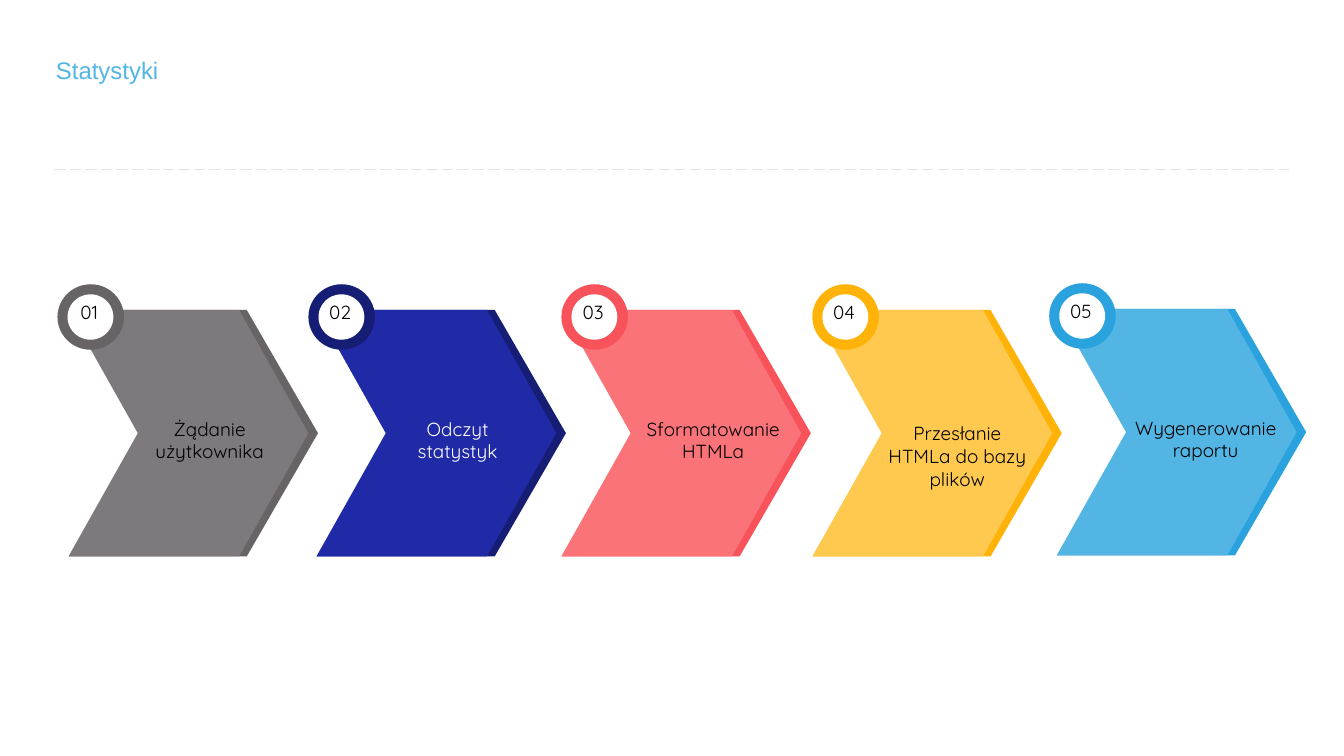
from lxml import etree
from pptx import Presentation
from pptx.dml.color import RGBColor
from pptx.enum.dml import MSO_LINE
from pptx.enum.shapes import MSO_CONNECTOR, MSO_SHAPE
from pptx.enum.text import MSO_ANCHOR, MSO_AUTO_SIZE, PP_ALIGN
from pptx.oxml.ns import qn
from pptx.util import Inches, Pt

# Content
TITLE = "Statystyki"
COLORS = {
    "title": "52B5E4", "rule": "E4E4E4", "white": "FFFFFF", "black": "000000",
    "gray": "7E797C", "gray_dark": "686466",
    "navy": "2029A6", "navy_dark": "161D74",
    "coral": "F97378", "coral_dark": "F8525A",
    "amber": "FFC950", "amber_dark": "FFB309",
    "sky": "52B5E4", "sky_dark": "2AA2DE",
}
# label, colour, label colour, arrow left, badge left, top, label box (left, top, width, height)
STEPS = [
    ("Żądanie użytkownika", "gray", "black", 1.36, 1.14, 5.64, (2.71, 8.23, 2.9, 1.01)),
    ("Odczyt statystyk", "navy", "white", 6.28, 6.12, 5.64, (7.63, 8.23, 2.9, 1.01)),
    ("Sformatowanie HTMLa", "coral", "black", 11.14, 11.14, 5.64, (12.65, 8.23, 3, 1.01)),
    ("Przesłanie HTMLa do bazy plików", "amber", "black", 16.12, 16.12, 5.64,
     (17.39, 8.32, 3.21, 1.46)),
    ("Wygenerowanie raportu", "sky", "black", 20.97, 20.82, 5.62, (22.32, 8.21, 3.21, 1.01)),
]
ARROW_H, ARROW_W, EDGE_W = 4.89, 4.76, 4.94
ARROW_DROP = 0.51  # arrow top below badge top
POINT_DEPTH = 0.289


def rgb(name):
    return RGBColor.from_string(COLORS[name])


def add_filled(group, preset, box, color):
    shape = group.shapes.add_shape(preset, *map(Inches, box))
    shape.shadow.inherit = False
    shape.fill.solid()
    shape.fill.fore_color.rgb = rgb(color)
    shape.line.fill.background()
    if preset == MSO_SHAPE.CHEVRON:
        shape.adjustments[0] = POINT_DEPTH


def add_label(group, text, box, color):
    frame = group.shapes.add_textbox(*map(Inches, box)).text_frame
    frame.word_wrap = True
    frame.auto_size = MSO_AUTO_SIZE.SHAPE_TO_FIT_TEXT
    frame.text = text
    paragraph = frame.paragraphs[0]
    paragraph.alignment = PP_ALIGN.CENTER
    font = paragraph.runs[0].font
    font.name, font.size, font.color.rgb = "Quicksand", Pt(27), rgb(color)


def add_step(slide, number, step):
    label, color, label_color, arrow_x, badge_x, top, label_box = step
    arrow_y = top + ARROW_DROP
    dark = f"{color}_dark"
    group = slide.shapes.add_group_shape()
    # Arrow with a darker leading edge
    add_filled(group, MSO_SHAPE.CHEVRON, (arrow_x + 0.01, arrow_y, EDGE_W, ARROW_H), dark)
    add_filled(group, MSO_SHAPE.CHEVRON, (arrow_x, arrow_y, ARROW_W, ARROW_H), color)
    # Number badge
    add_filled(group, MSO_SHAPE.OVAL, (badge_x, top, 1.32, 1.3), dark)
    add_filled(group, MSO_SHAPE.OVAL, (badge_x + 0.2, top + 0.2, 0.91, 0.9), "white")
    add_label(group, f"{number:02d}", (badge_x - 0.03, top + 0.27, 1.32, 0.56), "black")
    add_label(group, label, label_box, label_color)


def main():
    prs = Presentation()
    prs.slide_width, prs.slide_height = Inches(26.67), Inches(15)
    slide = prs.slides.add_slide(prs.slide_layouts[5])

    # Title
    title = slide.shapes.title
    title.left, title.top, title.width, title.height = map(Inches, (1.11, 1.08, 11.53, 0.63))
    frame = title.text_frame
    frame.text = TITLE
    frame.margin_left = frame.margin_right = frame.margin_top = frame.margin_bottom = 0
    frame.auto_size = MSO_AUTO_SIZE.NONE
    frame.vertical_anchor = MSO_ANCHOR.MIDDLE
    frame.paragraphs[0].alignment = PP_ALIGN.LEFT
    font = frame.paragraphs[0].runs[0].font
    font.name, font.size, font.color.rgb = "Arial", Pt(34.2), rgb("title")

    # Dashed rule under the title
    rule = slide.shapes.add_connector(
        MSO_CONNECTOR.STRAIGHT, *map(Inches, (1.08, 3.36, 25.58, 3.36)))
    rule.line.color.rgb = rgb("rule")
    rule.line.width = Pt(2)
    rule.line.dash_style = MSO_LINE.LONG_DASH
    etree.SubElement(rule._element.spPr, qn("a:effectLst"))

    # Process steps
    for number, step in enumerate(STEPS, 1):
        add_step(slide, number, step)

    prs.save("out.pptx")


if __name__ == "__main__":
    main()
